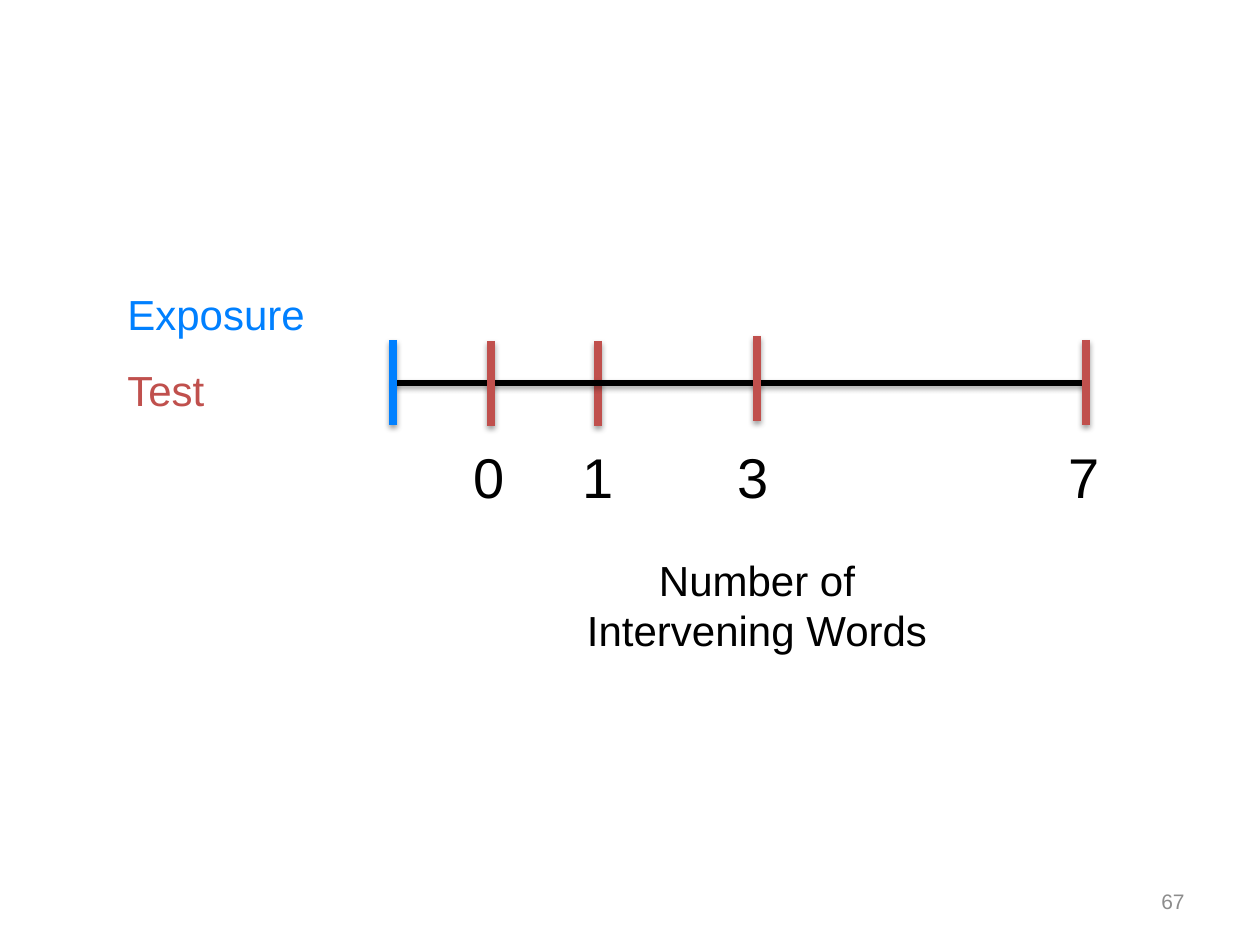
import pptx
import pptx.util
import pptx.dml.color
import pptx.enum.shapes
import pptx.enum.text

PX = 914400 // 126
ALIGN = pptx.enum.text.PP_ALIGN
ANCHOR = pptx.enum.text.MSO_ANCHOR
COLORS = {"exposure": "0080FF", "test": "C0504D", "ink": "000000", "muted": "8C8C8C"}

# Content: lines run from back to front, so the first tick lies behind the axis
TICK_HEIGHT = 85
AXIS = (393, 383, 1084, 383, "ink", 3)
TICKS = [  # x, top, color
    (598, 341, "test"),
    (393, 340, "exposure"),
    (1086, 340, "test"),
    (491, 341, "test"),
    (757, 336, "test"),
]
LAGS = [("0", 457), ("1", 566), ("3", 721), ("7", 1052)]  # number, left
TEXTS = [  # text, left, top, width, height, size, color, align, anchor
    ("67", 903, 876, 294, 50, 12, "muted", ALIGN.RIGHT, ANCHOR.MIDDLE),
    ("Number of Intervening Words", 543, 548, 428, 115, 24, "ink", ALIGN.CENTER, ANCHOR.TOP),
    ("Test", 115, 358, 127, 63, 24, "test", ALIGN.LEFT, ANCHOR.TOP),
    ("Exposure", 115, 282, 215, 63, 24, "exposure", ALIGN.LEFT, ANCHOR.TOP),
]


def rgb(name):
    return pptx.dml.color.RGBColor.from_string(COLORS[name])


def add_line(page, x1, y1, x2, y2, color, width):
    """Draw a line that keeps the theme's soft shadow."""
    line = page.shapes.add_connector(
        pptx.enum.shapes.MSO_CONNECTOR.STRAIGHT, *(v * PX for v in (x1, y1, x2, y2)))
    line.line.color.rgb = rgb(color)
    line.line.width = pptx.util.Pt(width)


def add_text(page, text, left, top, width, height, size, color, align, anchor):
    box = page.shapes.add_textbox(*(v * PX for v in (left, top, width, height)))
    frame = box.text_frame
    frame.word_wrap = True
    frame.vertical_anchor = anchor
    para = frame.paragraphs[0]
    para.alignment = align
    span = para.add_run()
    span.text = text
    for key, value in {"name": "Arial", "size": pptx.util.Pt(size)}.items():
        setattr(span.font, key, value)
    span.font.color.rgb = rgb(color)


def main():
    deck = pptx.Presentation()
    deck.slide_width = pptx.util.Inches(10)
    deck.slide_height = pptx.util.Inches(7.5)
    page = deck.slides.add_slide(deck.slide_layouts[6])

    # Timeline
    lines = [(x, top, x, top + TICK_HEIGHT, color, 4.5) for x, top, color in TICKS]
    lines.insert(1, AXIS)
    for line in lines:
        add_line(page, *line)

    # Legend, caption, page number and lag numbers
    lags = [(number, left, 436, 64, 81, 32, "ink", ALIGN.CENTER, ANCHOR.TOP)
            for number, left in LAGS]
    for text in TEXTS + lags:
        add_text(page, *text)

    deck.save("out.pptx")


if __name__ == "__main__":
    main()
